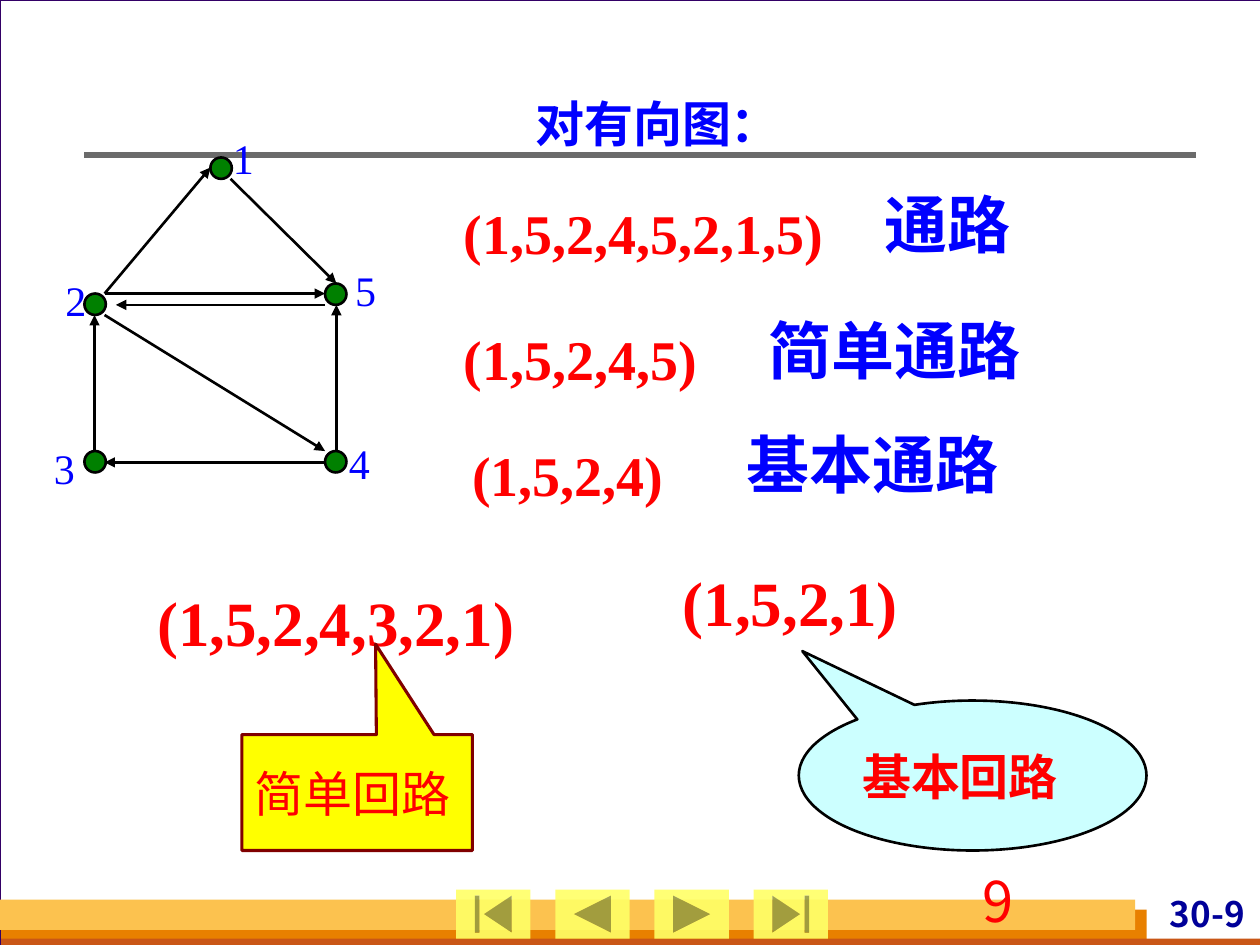
from pptx import Presentation
from pptx.dml.color import RGBColor
from pptx.enum.shapes import MSO_CONNECTOR as Conn, MSO_SHAPE as Shape
from pptx.enum.text import MSO_ANCHOR as Anchor, PP_ALIGN as Align
from pptx.oxml.ns import qn
from pptx.util import Inches, Pt
from lxml.etree import SubElement as Sub

SERIF, SANS = "Times New Roman", "Noto Sans CJK SC"
RED, BLUE, BLACK = "FF0000", "0000FF", "000000"


def rgb(code):
    return RGBColor.from_string(code)


def style(para, size, font, color, bold):
    run = para.runs[0]
    run.font.size, run.font.bold = Pt(size), bold
    run.font.name = font
    run.font.color.rgb = rgb(color)
    Sub(run._r.get_or_add_rPr(), qn("a:ea")).set("typeface", font)


def add_text(slide, box, text, size, font, color, bold=True, wrap=True):
    label = slide.shapes.add_textbox(*map(Inches, box))
    frame = label.text_frame
    frame.word_wrap = wrap
    frame.text = text
    style(frame.paragraphs[0], size, font, color, bold)
    return frame


def add_shape(slide, kind, box, fill, line=None, width=1.5):
    shape = slide.shapes.add_shape(kind, *map(Inches, box))
    shape.shadow.inherit = False
    shape.fill.solid()
    shape.fill.fore_color.rgb = rgb(fill)
    if line:
        shape.line.color.rgb = rgb(line)
        shape.line.width = Pt(width)
    else:
        shape.line.fill.background()
    return shape


def add_line(slide, start, end, color=BLACK, width=1.5, arrow=True):
    line = slide.shapes.add_connector(
        Conn.STRAIGHT, *map(Inches, (*start, *end)))
    line.line.color.rgb = rgb(color)
    line.line.width = Pt(width)
    if arrow:
        Sub(line.line._get_or_add_ln(), qn("a:tailEnd")).set("type", "triangle")
    Sub(line._element.spPr, qn("a:effectLst"))


def add_button(slide, kind, left):
    button = add_shape(slide, kind, (left, 7.06, 0.59, 0.39), "FFFF66")
    tint = button._element.spPr.find(".//" + qn("a:srgbClr"))
    Sub(tint, qn("a:alpha")).set("val", "90000")


def add_callout(slide, kind, box, tip, text, fill, line, width, bold):
    call = add_shape(slide, kind, box, fill, line, width)
    call.adjustments[0], call.adjustments[1] = tip
    frame = call.text_frame
    frame.vertical_anchor = Anchor.MIDDLE
    frame.text = text
    frame.paragraphs[0].alignment = Align.LEFT
    style(frame.paragraphs[0], 28, SANS, RED, bold)


def add_frame(slide):
    # Page, footer bands and title rule
    add_shape(slide, Shape.RECTANGLE, (0, 0, 10.01, 7.5), "FFFFFF", "330066", 0.75)
    for box, fill in [((0.01, 7.22, 9.09, 0.28), "E88000"),
                      ((0.01, 7.45, 10, 0.08), "C95616"),
                      ((0, 7.14, 9.01, 0.24), "FCC24F")]:
        add_shape(slide, Shape.RECTANGLE, box, fill)
    page = add_text(slide, (8.7, 7.08, 1.22, 0.38), "30-9", 20, SANS, "000099")
    page.margin_left = page.margin_right = Inches(0.04)
    page.margin_top = page.margin_bottom = 0
    page.paragraphs[0].alignment = Align.RIGHT
    add_line(slide, (0.67, 1.23), (9.49, 1.23), "6B6B6B", 3, arrow=False)

    # Navigation buttons
    kinds = [Shape.ACTION_BUTTON_BEGINNING, Shape.ACTION_BUTTON_BACK_OR_PREVIOUS,
             Shape.ACTION_BUTTON_FORWARD_OR_NEXT, Shape.ACTION_BUTTON_END]
    for i, kind in enumerate(kinds):
        add_button(slide, kind, 3.62 + 0.787 * i)


def add_graph(slide):
    # Nodes: name, dot corner, label corner
    nodes = [("1", (1.67, 1.25), (1.75, 1)),
             ("2", (0.67, 2.33), (0.42, 2.13)),
             ("3", (0.67, 3.58), (0.33, 3.46)),
             ("4", (2.58, 3.58), (2.67, 3.42)),
             ("5", (2.58, 2.25), (2.72, 2.05))]
    for name, dot, spot in nodes:
        add_shape(slide, Shape.OVAL, (*dot, 0.17, 0.17), "008000", BLACK)
        add_text(slide, (*spot, 0.36, 0.5), name, 24, SERIF, BLUE,
                 bold=False, wrap=False)

    # Directed edges
    edges = [((0.83, 2.33), (1.67, 1.33)), ((1.83, 1.42), (2.67, 2.25)),
             ((0.75, 3.58), (0.75, 2.5)), ((2.67, 3.58), (2.67, 2.42)),
             ((2.58, 3.67), (0.83, 3.67)), ((0.83, 2.5), (2.58, 3.58)),
             ((0.83, 2.33), (2.58, 2.33)), ((2.58, 2.42), (0.92, 2.42))]
    for start, end in edges:
        add_line(slide, start, end)


def add_paths(slide):
    add_text(slide, (4.15, 0.69, 2.43, 0.57), "对有向图：", 28, SANS, BLUE)

    # Open paths with their names
    rows = [("(1,5,2,4,5,2,1,5)", 3.58, 1.53, "通路", 6.92, 1.42),
            ("(1,5,2,4,5)", 3.58, 2.53, "简单通路", 6, 2.42),
            ("(1,5,2,4)", 3.65, 3.45, "基本通路", 5.83, 3.33)]
    for walk, x, y, name, left, top in rows:
        add_text(slide, (x, y, 4.18, 0.64), walk, 32, SERIF, RED)
        add_text(slide, (left, top, 3, 0.7), name, 36, SANS, BLUE)

    # Closed paths with their callouts
    add_text(slide, (5.32, 4.42, 2.68, 0.7), "(1,5,2,1)", 36, SERIF, RED)
    add_text(slide, (1.15, 4.58, 5.02, 0.7), "(1,5,2,4,3,2,1)", 36, SERIF, RED)
    add_callout(slide, Shape.OVAL_CALLOUT, (6.34, 5.56, 2.76, 1.19),
                (-0.49, -0.83), "基本回路", "CCFFFF", BLACK, 1.5, True)
    add_callout(slide, Shape.RECTANGULAR_CALLOUT, (1.92, 5.83, 1.83, 0.92),
                (0.08, -1.28), "简单回路", "FFFF00", "800000", 1.75, False)


def main():
    deck = Presentation()
    deck.slide_width, deck.slide_height = Inches(10), Inches(7.5)
    slide = deck.slides.add_slide(deck.slide_layouts[6])
    slide.background.fill.solid()
    slide.background.fill.fore_color.rgb = rgb("D8DADA")
    add_frame(slide)
    add_graph(slide)
    add_paths(slide)
    add_text(slide, (7.7, 6.83, 2.08, 0.5), "9", 32, SANS, RED, bold=False)
    deck.save("out.pptx")


if __name__ == "__main__":
    main()
